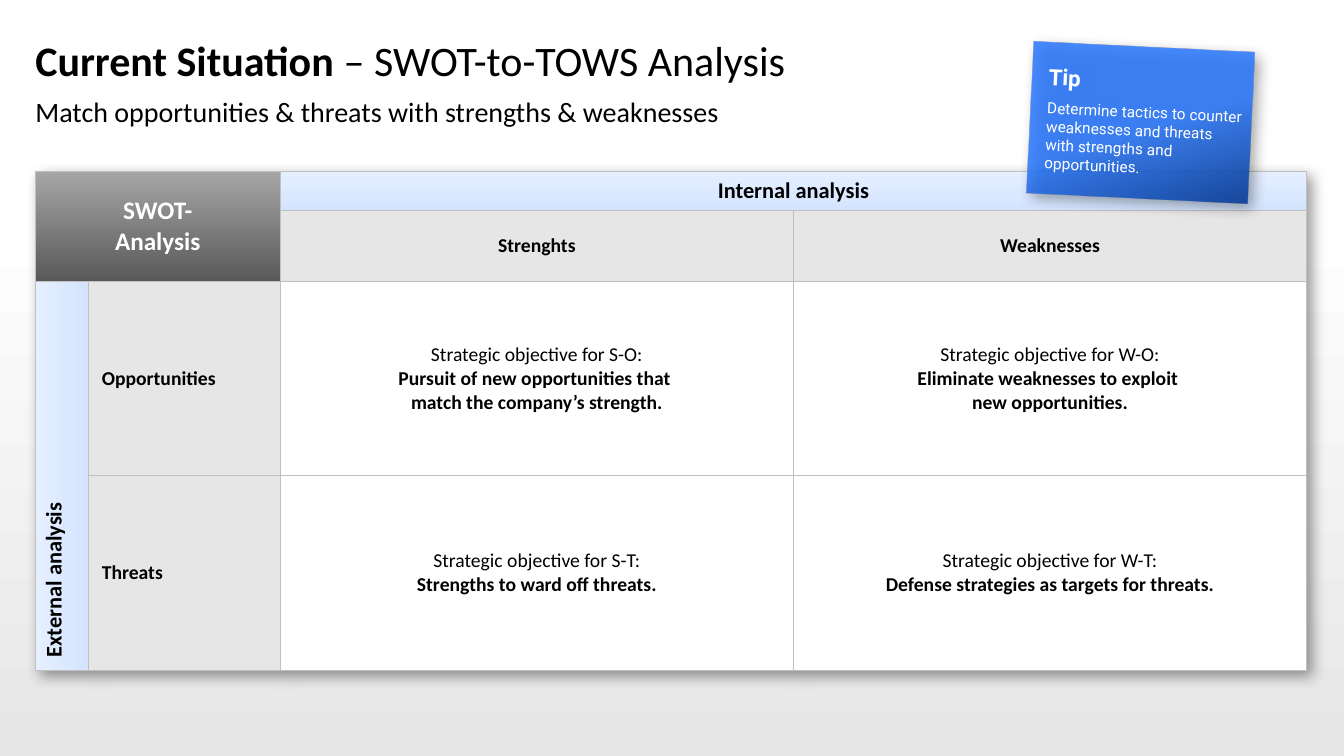
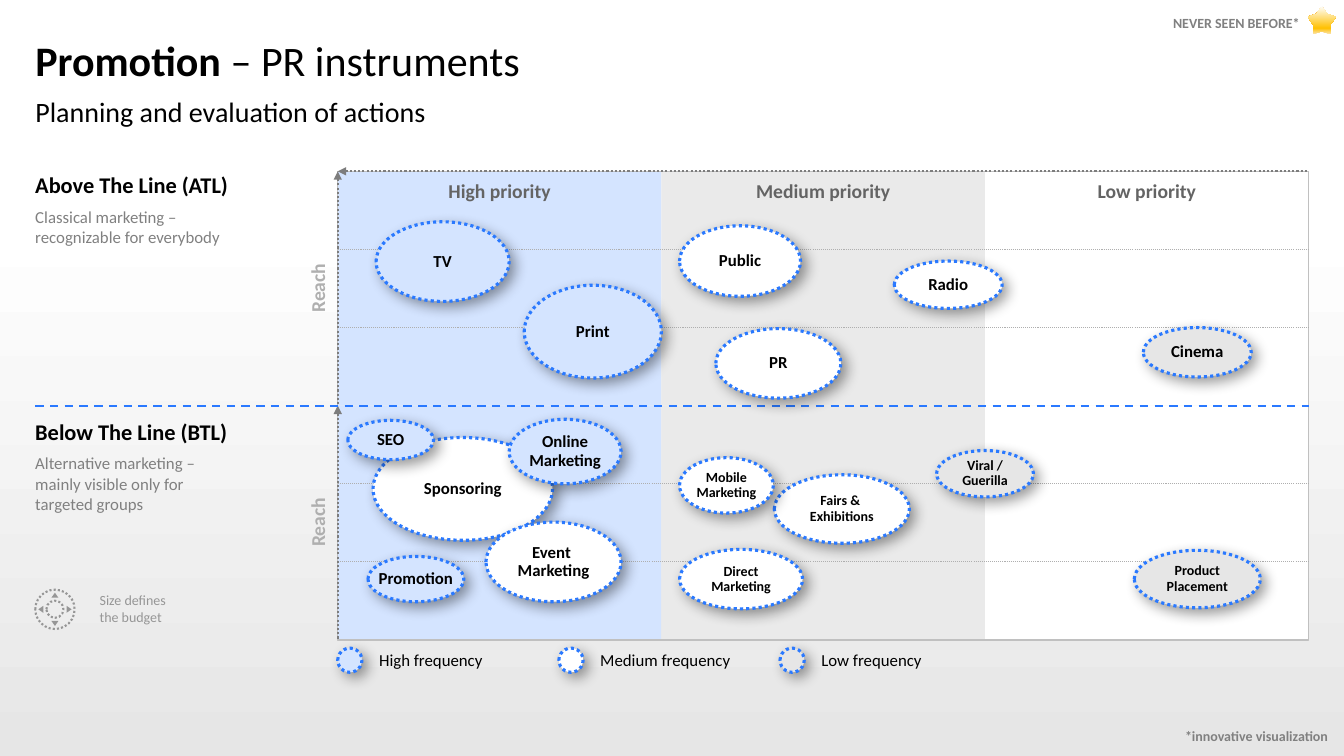
from collections import namedtuple
from copy import deepcopy

from pptx import Presentation
from pptx import oxml
from pptx import util as u
from pptx.dml.color import RGBColor
from pptx.enum import dml, shapes, text
from pptx.oxml import ns

Box = namedtuple("Box", "left top width height")
Span = namedtuple("Span", "words size bold color", defaults=(12, False, "black"))

COLORS = {
    "black": "000000", "white": "FFFFFF", "blue": "2A79FF", "navy": "003794",
    "sky": "D4E4FF", "ice": "E5EFFF", "silver": "E6E6E6", "band": "EAEAEA",
    "border": "C0C0C0", "grid": "AFAFAF", "icon": "969696", "note": "808080",
    "axis": "7D7D7D", "header": "646464", "slate": "595959", "ash": "A6A6A6",
    "gold": "FFC000", "cream": "FBE4AE",
}
LEFT, CENTER, RIGHT = (text.PP_ALIGN.LEFT, text.PP_ALIGN.CENTER, text.PP_ALIGN.RIGHT)
TOP, MIDDLE, BOTTOM = (text.MSO_ANCHOR.TOP, text.MSO_ANCHOR.MIDDLE, text.MSO_ANCHOR.BOTTOM)
DOT, DASH = dml.MSO_LINE.ROUND_DOT, dml.MSO_LINE.DASH
KIND = shapes.MSO_SHAPE
NONE = (0, 0, 0, 0)
PADDED = (0.12, 0.08, 0.12, 0.08)
CONTENT = Box(0.35, 1.7, 12.62, 4.64)
BLUE_SHADE = [(0, "ice", 100), (100, "sky", 100)]
FREQUENCIES = {"High": "sky", "Medium": "white", "Low": "silver"}
SHADOW = (
    '<a:outerShdw %s blurRad="127000" dist="63500" dir="2700000" algn="tl" rotWithShape="0">'
    '<a:srgbClr val="000000"><a:alpha val="40000"/></a:srgbClr></a:outerShdw>'
    % ns.nsdecls("a")
)


def rgb(name):
    return RGBColor.from_string(COLORS[name])


def assign(target, values):
    for name, value in values.items():
        setattr(target, name, value)


def inches(box):
    return [u.Inches(length) for length in box]


def margins(insets):
    sides = ("left", "top", "right", "bottom")
    return {f"margin_{side}": u.Inches(inset) for side, inset in zip(sides, insets)}


def write(frame, paras, font="Calibri", **para_format):
    for index, spans in enumerate(paras):
        para = frame.paragraphs[0] if index == 0 else frame.add_paragraph()
        assign(para, {"alignment": LEFT, **para_format})
        for item in spans:
            for number, line in enumerate(item.words.split("\n")):
                if number:
                    para.add_line_break()
                    para._p[-1].append(deepcopy(span._r.rPr))
                if line:
                    span = para.add_run()
                    span.text = line
                    assign(span.font, {"name": font, "size": u.Pt(item.size), "bold": item.bold})
                    span.font.color.rgb = rgb(item.color)


def set_frame(frame, insets=NONE, anchor=TOP, wrap=True):
    assign(frame, {**margins(insets), "vertical_anchor": anchor, "word_wrap": wrap})


def shade(fill, props, stops, angle):
    fill.gradient()
    marks = "".join(
        f'<a:gs pos="{place * 1000}"><a:srgbClr val="{COLORS[color]}">'
        f'<a:alpha val="{opacity * 1000}"/></a:srgbClr></a:gs>'
        for place, color, opacity in stops
    )
    gradient = oxml.parse_xml(
        f'<a:gradFill {ns.nsdecls("a")} rotWithShape="1"><a:gsLst>{marks}</a:gsLst>'
        f'<a:lin ang="{angle * 60000}" scaled="0"/></a:gradFill>'
    )
    props.replace(props.find(ns.qn("a:gradFill")), gradient)


def add_text(page, box, paras, insets=NONE, anchor=TOP, wrap=True, rotation=0, **para_format):
    label = page.shapes.add_textbox(*inches(box))
    label.rotation = rotation
    set_frame(label.text_frame, insets, anchor, wrap)
    write(label.text_frame, paras, **para_format)


def set_line(line, color, width, dash=None):
    line.color.rgb = rgb(color)
    assign(line, {"width": u.Pt(width), "dash_style": dash})


def add_shape(page, kind, box, fill=None, line=None, rotation=0, shadow=False):
    shape = page.shapes.add_shape(kind, *inches(box))
    shape.shadow.inherit = False
    shape.rotation = rotation
    if fill:
        shape.fill.solid()
        shape.fill.fore_color.rgb = rgb(fill)
    else:
        shape.fill.background()
    if line:
        set_line(shape.line, *line)
    else:
        shape.line.fill.background()
    if shadow:
        shape._element.spPr.find(ns.qn("a:effectLst")).append(oxml.parse_xml(SHADOW))
    return shape


def add_line(page, start, end, color, width, dash, arrow=False):
    line = page.shapes.add_connector(shapes.MSO_CONNECTOR.STRAIGHT, *inches(start + end))
    set_line(line.line, color, width, dash)
    props = line._element.spPr
    if arrow:
        line.line._get_or_add_ln().append(
            oxml.parse_xml(f'<a:headEnd {ns.nsdecls("a")} type="triangle"/>'))
    props.append(oxml.parse_xml(f'<a:effectLst {ns.nsdecls("a")}/>'))


def add_backdrop(page):
    band = add_shape(page, KIND.RECTANGLE, Box(0, 2.21, 13.33, 5.29))
    shade(band.fill, band._element.spPr, [(0, "silver", 100), (100, "white", 100)], 270)
    page.slide_layout.shapes._spTree.insert(2, band._element)


def add_page(deck, topic, detail, subtitle):
    page = deck.slides.add_slide(deck.slide_layouts[5])
    title = page.shapes.title
    places = inches((0.35, 0.26, 12.62, 0.67))
    assign(title, dict(zip(("left", "top", "width", "height"), places)))
    set_frame(title.text_frame, anchor=MIDDLE)
    title.text_frame.auto_size = text.MSO_AUTO_SIZE.NONE
    write(title.text_frame, [[Span(topic, 30, True), Span(detail, 30)]])
    add_text(page, Box(0.35, 0.94, 12.62, 0.37), [[Span(subtitle, 20)]])
    return page


def format_cell(cell, fill):
    props = cell._tc.get_or_add_tcPr()
    for index, side in enumerate("LRTB"):
        props.insert(index, oxml.parse_xml(
            f'<a:ln{side} {ns.nsdecls("a")} w="12700"><a:solidFill>'
            f'<a:srgbClr val="{COLORS["border"]}"/></a:solidFill></a:ln{side}>'))
    if isinstance(fill, tuple):
        shade(cell.fill, props, *fill)
    else:
        cell.fill.solid()
        cell.fill.fore_color.rgb = rgb(fill)
    assign(cell, {**margins((0.13, 0.05, 0.13, 0.05)), "vertical_anchor": MIDDLE})


def add_swot_table(page, box):
    frame = page.shapes.add_table(4, 4, *inches(box))
    table = frame.table
    assign(table, {"first_row": False, "horz_banding": False})
    effects = oxml.parse_xml(f'<a:effectLst {ns.nsdecls("a")}/>')
    effects.append(oxml.parse_xml(SHADOW))
    table._tbl.tblPr.insert(0, effects)
    for column, width in zip(table.columns, (0.53, 1.9, 5.09, 5.09)):
        column.width = u.Inches(width)
    for row, height in zip(table.rows, (0.39, 0.39, 1.93, 1.93)):
        row.height = u.Inches(height)
    for first, last in (((0, 0), (1, 1)), ((0, 2), (0, 3)), ((2, 0), (3, 0))):
        table.cell(*first).merge(table.cell(*last))

    dark = ([(0, "slate", 100), (100, "ash", 100)], 270)
    headings = {
        (0, 0): ("SWOT-\nAnalysis", 18, "white", dark, CENTER),
        (0, 2): ("Internal analysis", 16, "black", (BLUE_SHADE, 90), CENTER),
        (1, 2): ("Strenghts", 14, "black", "silver", CENTER),
        (1, 3): ("Weaknesses", 14, "black", "silver", CENTER),
        (2, 0): ("External analysis", 16, "black", (BLUE_SHADE, 0), LEFT),
        (2, 1): ("Opportunities", 14, "black", "silver", LEFT),
        (3, 1): ("Threats", 14, "black", "silver", LEFT),
    }
    objectives = {
        (2, 2): ("S-O", "Pursuit of new opportunities that \nmatch the company’s strength."),
        (2, 3): ("W-O", "Eliminate weaknesses to exploit \nnew opportunities."),
        (3, 2): ("S-T", "Strengths to ward off threats."),
        (3, 3): ("W-T", "Defense strategies as targets for threats."),
    }
    for row in range(4):
        for column in range(4):
            place, cell = (row, column), table.cell(row, column)
            fill = "white"
            if place in headings:
                words, size, color, fill, align = headings[place]
                write(cell.text_frame, [[Span(words, size, True, color)]], alignment=align)
            elif place in objectives:
                pair, goal = objectives[place]
                spans = [Span(f"Strategic objective for {pair}:\n", 14), Span(goal, 14, True)]
                write(cell.text_frame, [spans], alignment=CENTER)
            format_cell(cell, fill)
    table.cell(2, 0)._tc.tcPr.set("vert", "vert270")


def add_tip(page, box):
    card = add_shape(page, KIND.RECTANGLE, box, rotation=2.8, shadow=True)
    stops = [(0, "blue", 85), (53, "blue", 85), (100, "navy", 85)]
    shade(card.fill, card._element.spPr, stops, 70)
    set_frame(card.text_frame, (0.16, 0.2, 0.08, 0.05))
    advice = "Determine tactics to counter weaknesses and threats with strengths and opportunities."
    paras = [[Span("Tip", 16, True, "white")], [Span(advice, 11, False, "white")]]
    write(card.text_frame, paras, font="Roboto", space_after=u.Pt(6))


def add_priority_grid(page, box):
    left, top, width, height = box
    right, half = left + width, height / 2
    column = width / 3
    columns = (("High priority", "sky"), ("Medium priority", "band"), ("Low priority", "white"))
    for index, (name, fill) in enumerate(columns):
        for row in range(2):
            place = Box(left + index * column, top + row * half, column, half)
            panel = add_shape(page, KIND.RECTANGLE, place, fill)
            if row == 0:
                set_frame(panel.text_frame, PADDED)
                write(panel.text_frame, [[Span(name, 14, True, "header")]], alignment=CENTER)
    add_shape(page, KIND.RECTANGLE, box, line=("border", 1))
    for row in range(2):
        start = top + row * half
        for step in (1, 2):
            level = start + step * half / 3
            add_line(page, (left, level), (right, level), "grid", 0.75, DOT)
        add_line(page, (left, start), (left, start + half), "axis", 1.5, DOT, True)
        reach = Box(left - 0.27 - half / 2, start + half / 2 - 0.27, half, 0.53)
        add_text(page, reach, [[Span("Reach", 14, True, "grid")]], PADDED, BOTTOM,
                 rotation=270, alignment=CENTER)
    add_line(page, (CONTENT.left, top + half), (right, top + half), "blue", 1.5, DASH)
    add_line(page, (left, top), (right, top), "axis", 1.5, DOT, True)


def add_bubble(page, box, frequency):
    return add_shape(page, KIND.OVAL, box, FREQUENCIES[frequency], ("blue", 2.25, DOT), shadow=True)


def add_instruments(page, box):
    instruments = (
        ("TV", 0.38, 0.5, 1.32, 0.79, "High", 12),
        ("Print", 1.85, 1.13, 1.36, 0.92, "High", 12),
        ("Public", 3.39, 0.54, 1.2, 0.7, "Medium", 12),
        ("PR", 3.75, 1.56, 1.24, 0.69, "Medium", 12),
        ("Radio", 5.52, 0.89, 1.07, 0.47, "Medium", 12),
        ("Cinema", 7.99, 1.55, 1.07, 0.49, "Low", 12),
        ("Sponsoring", 0.35, 2.64, 1.78, 1.02, "Medium", 12),
        ("Event \nMarketing", 1.47, 3.48, 1.34, 0.79, "Medium", 12),
        ("Fairs & \nExhibitions", 4.33, 3.01, 1.34, 0.68, "Medium", 10),
        ("Product\nPlacement", 7.9, 3.76, 1.25, 0.57, "Low", 10),
        ("Promotion", 0.3, 3.82, 0.95, 0.45, "High", 12),
        ("Direct\nMarketing", 3.39, 3.75, 1.22, 0.59, "Medium", 10),
        ("Mobile\nMarketing", 3.39, 2.84, 0.93, 0.55, "Medium", 10),
        ("SEO", 0.1, 2.47, 0.85, 0.39, "High", 12),
        ("Online\nMarketing", 1.7, 2.46, 1.11, 0.64, "High", 12),
        ("Viral /\nGuerilla", 5.94, 2.77, 0.96, 0.46, "Low", 10),
    )
    for name, across, down, width, height, frequency, size in instruments:
        place = Box(box.left + across, box.top + down, width, height)
        bubble = add_bubble(page, place, frequency)
        set_frame(bubble.text_frame, anchor=MIDDLE, wrap=False)
        write(bubble.text_frame, [[Span(name, size, True)]], alignment=CENTER,
              line_spacing=0.9, space_after=u.Pt(4))


def add_line_notes(page, box):
    notes = (
        ("Above The Line (ATL)", "Classical marketing –  \nrecognizable for everybody", 0),
        ("Below The Line (BTL)",
         "Alternative marketing – \nmainly visible only for\ntargeted groups", 0.12),
    )
    half = box.height / 2
    for row, (name, detail, inset) in enumerate(notes):
        place = Box(box.left, box.top + row * half, box.width, half)
        paras = [[Span(name, 16, True)], [Span(detail, 12, False, "note")]]
        add_text(page, place, paras, (0, inset, 0, 0), space_after=u.Pt(6))


def add_size_key(page, box):
    left, top, size = box.left, box.top, box.height
    for inset in (0, 0.11):
        ring = Box(left + inset, top + inset, size - 2 * inset, size - 2 * inset)
        add_shape(page, KIND.OVAL, ring, line=("icon", 1.5, DOT))
    middle = size / 2
    for turn, (across, down) in enumerate(((0, -1), (1, 0), (0, 1), (-1, 0))):
        place = Box(left + middle + across * 0.14 - 0.035,
                    top + middle + down * 0.14 - 0.025, 0.07, 0.05)
        add_shape(page, KIND.ISOSCELES_TRIANGLE, place, "icon", rotation=turn * 90)
    label = Box(left + 0.54, top - 0.03, box.width - 0.54, 0.44)
    add_text(page, label, [[Span("Size defines \nthe budget", 10, False, "icon")]],
             (0.1, 0.05, 0.1, 0.05), MIDDLE)


def add_legend(page, box):
    pitch = box.width / len(FREQUENCIES)
    for index, name in enumerate(FREQUENCIES):
        left = box.left + index * pitch
        add_bubble(page, Box(left, box.top + 0.08, 0.24, 0.24), name)
        add_text(page, Box(left + 0.29, box.top, pitch - 0.29, box.height),
                 [[Span(f"{name} frequency")]], PADDED, MIDDLE)


def add_badge(page, box):
    star = add_shape(page, KIND.STAR_5_POINT, box)
    star.adjustments[0] = 0.31
    stops = [(0, "cream", 100), (21, "gold", 100), (100, "white", 100)]
    shade(star.fill, star._element.spPr, stops, 270)
    labels = (
        ("NEVER SEEN BEFORE*", box.left - 1.93, box.top + 0.05),
        ("*innovative visualization", box.left - 1.65, box.top + 7.12),
    )
    for words, left, top in labels:
        add_text(page, Box(left, top, 1.93, 0.28), [[Span(words, 10, True, "note")]],
                 (0, 0.04, 0.08, 0.04), MIDDLE, False, alignment=RIGHT, line_spacing=0.7)


def build_swot(deck):
    page = add_page(deck, "Current Situation ", "– SWOT-to-TOWS Analysis",
                    "Match opportunities & threats with strengths & weaknesses")
    add_backdrop(page)
    add_swot_table(page, CONTENT)
    add_tip(page, Box(10.22, 0.47, 2.19, 1.5))


def build_promotion(deck):
    page = add_page(deck, "Promotion ", "– PR instruments", "Planning and evaluation of actions")
    grid = Box(3.35, 1.7, 9.63, 4.65)
    add_priority_grid(page, grid)
    add_line_notes(page, Box(0.35, 1.7, 2.46, 4.65))
    add_instruments(page, grid)
    add_size_key(page, Box(0.35, 5.85, 2.5, 0.39))
    add_legend(page, Box(3.35, 6.35, 6.58, 0.39))
    add_badge(page, Box(12.97, 0.06, 0.28, 0.28))


def main():
    deck = Presentation()
    assign(deck, {"slide_width": u.Inches(13.33), "slide_height": u.Inches(7.5)})
    build_swot(deck)
    build_promotion(deck)
    deck.save("out.pptx")


if __name__ == "__main__":
    main()
